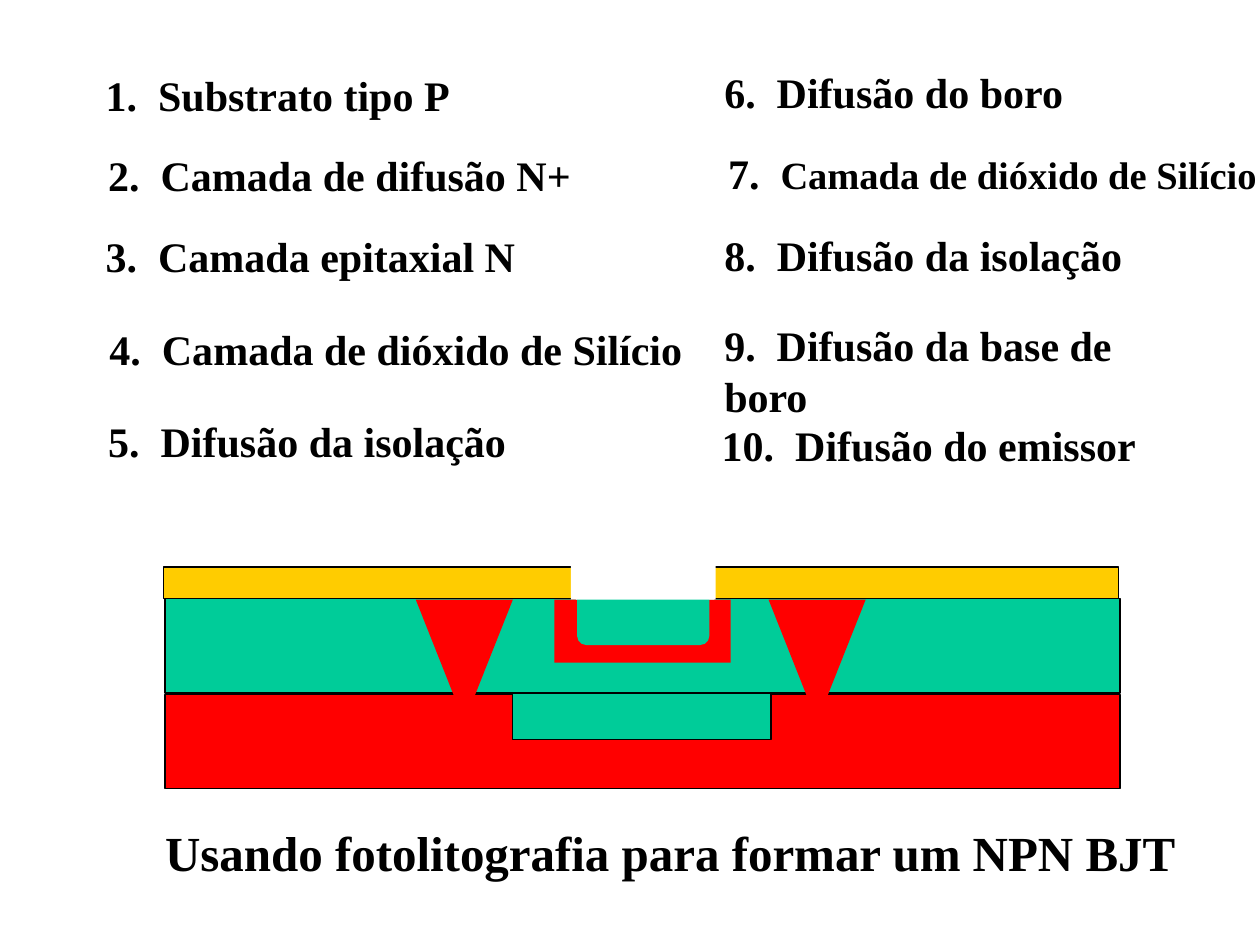
from pptx import Presentation
from pptx.dml.color import RGBColor
from pptx.enum import shapes, text
from pptx.util import Inches, Pt

BLACK = RGBColor(0x00, 0x00, 0x00)
WHITE = RGBColor(0xFF, 0xFF, 0xFF)
RED = RGBColor(0xFF, 0x00, 0x00)
GREEN = RGBColor(0x00, 0xCC, 0x99)
YELLOW = RGBColor(0xFF, 0xCC, 0x00)
RECTANGLE = shapes.MSO_SHAPE.RECTANGLE
TRIANGLE = shapes.MSO_SHAPE.ISOSCELES_TRIANGLE
ROUNDED = shapes.MSO_SHAPE.ROUNDED_RECTANGLE


def add_region(kind, left, top, width, height, color, outlined=False):
    shape = slide.shapes.add_shape(
        kind, Inches(left), Inches(top), Inches(width), Inches(height))
    shape.shadow.inherit = False
    shape.fill.solid()
    shape.fill.fore_color.rgb = color
    if outlined:
        shape.line.color.rgb = BLACK
        shape.line.width = Pt(0.74)
    else:
        shape.line.fill.background()
    return shape


def format_text(shape, size):
    frame = shape.text_frame
    frame.word_wrap = True
    frame.auto_size = text.MSO_AUTO_SIZE.SHAPE_TO_FIT_TEXT
    frame.vertical_anchor = text.MSO_ANCHOR.TOP
    paragraph = frame.paragraphs[0]
    paragraph.alignment = text.PP_ALIGN.LEFT
    paragraph.font.name = "Times New Roman"
    paragraph.font.size = Pt(size)
    paragraph.font.bold = True
    paragraph.font.color.rgb = BLACK
    return paragraph


presentation = Presentation()
presentation.slide_width = Inches(10)
presentation.slide_height = Inches(7.5)
slide = presentation.slides.add_slide(presentation.slide_layouts[5])

title = slide.shapes.title
title.left, title.top = Inches(1.21), Inches(6.48)
title.width, title.height = Inches(8.3), Inches(0.57)
title.text_frame.text = "Usando fotolitografia para formar um NPN BJT"
format_text(title, 28)

add_region(RECTANGLE, 1.31, 5.51, 7.58, 0.75, RED, True)
add_region(RECTANGLE, 4.07, 5.5, 2.05, 0.37, GREEN, True)
add_region(RECTANGLE, 1.31, 4.75, 7.58, 0.75, GREEN, True)
for left in (3.3, 6.1):
    isolation = add_region(TRIANGLE, left, 4.76, 0.77, 0.97, RED)
    isolation.rotation = 180
add_region(RECTANGLE, 1.3, 4.5, 7.58, 0.25, YELLOW, True)
add_region(RECTANGLE, 4.53, 4.44, 1.15, 0.32, WHITE)
add_region(RECTANGLE, 4.4, 4.76, 1.4, 0.5, RED)
add_region(ROUNDED, 4.58, 4.68, 1.05, 0.44, GREEN)
add_region(RECTANGLE, 4.57, 4.4, 1.1, 0.36, WHITE)

steps = [
    ("Substrato tipo P", 0.74, 0.5, 3.0),
    ("Camada de difusão N+", 0.76, 1.14, 3.95),
    ("Camada epitaxial N", 0.74, 1.78, 3.53),
    ("Camada de dióxido de Silício", 0.77, 2.52, 4.91),
    ("Difusão da isolação", 0.76, 3.25, 3.45),
    ("Difusão do boro", 5.65, 0.48, 3.0),
    ("Camada de dióxido de Silício", 5.68, 1.12, 4.5),
    ("Difusão da isolação", 5.65, 1.77, 3.45),
    ("Difusão da base de boro", 5.65, 2.49, 3.6),
    ("Difusão do emissor", 5.63, 3.28, 3.6),
]
for number, (step, left, top, width) in enumerate(steps, 1):
    height = 0.9 if number == 9 else 0.5
    box = slide.shapes.add_textbox(
        Inches(left), Inches(top), Inches(width), Inches(height))
    paragraph = format_text(box, 24)
    paragraph.add_run().text = f"{number}.  "
    step_run = paragraph.add_run()
    step_run.text = step
    if number == 7:
        step_run.font.size = Pt(22)

presentation.save("out.pptx")
